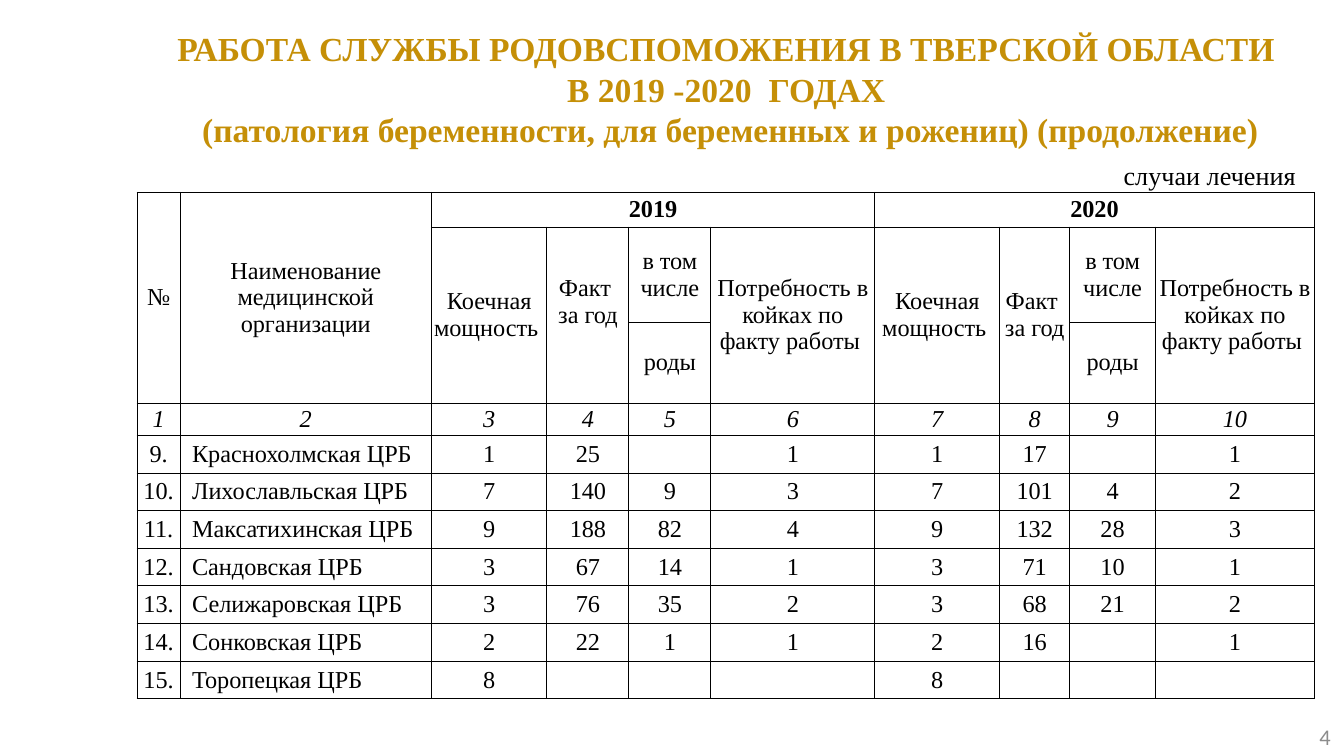
from lxml import etree
from pptx import Presentation
from pptx.dml.color import RGBColor
from pptx.enum.text import MSO_ANCHOR, MSO_AUTO_SIZE, PP_ALIGN
from pptx.oxml.ns import qn
from pptx.util import Inches, Pt

LEFT, CENTER, RIGHT = PP_ALIGN.LEFT, PP_ALIGN.CENTER, PP_ALIGN.RIGHT
TOP, MIDDLE = MSO_ANCHOR.TOP, MSO_ANCHOR.MIDDLE
NO_AUTOFIT = MSO_AUTO_SIZE.NONE
TITLE_ONLY = 5

SERIF = "Times New Roman"
GOLD, BLACK, WHITE, GRAY = "C58F07", "000000", "FFFFFF", "8C8C8C"
CELL_SIZE = 13

TITLE_LINES = [
    "РАБОТА СЛУЖБЫ РОДОВСПОМОЖЕНИЯ В ТВЕРСКОЙ ОБЛАСТИ ",
    "В 2019 -2020  ГОДАХ ",
    "(патология беременности, для беременных и рожениц) (продолжение)",
]

COLUMN_WIDTHS = [0.32, 1.87, 0.86, 0.61, 0.61, 1.22, 0.93, 0.52, 0.64, 1.18]
ROW_HEIGHTS = [0.26, 0.71, 0.6, 0.24] + [0.28] * 7
YEARS = ["2019", "2020"]
YEAR_COLUMNS = 4
NUMBER_ROW = 3

HOSPITALS = [
    ("9.", "Краснохолмская ЦРБ", "1", "25", "", "1", "1", "17", "", "1"),
    ("10.", "Лихославльская ЦРБ", "7", "140", "9", "3", "7", "101", "4", "2"),
    ("11.", "Максатихинская ЦРБ", "9", "188", "82", "4", "9", "132", "28", "3"),
    ("12.", "Сандовская ЦРБ", "3", "67", "14", "1", "3", "71", "10", "1"),
    ("13.", "Селижаровская ЦРБ", "3", "76", "35", "2", "3", "68", "21", "2"),
    ("14.", "Сонковская ЦРБ", "2", "22", "1", "1", "2", "16", "", "1"),
    ("15.", "Торопецкая ЦРБ", "8", "", "", "", "8", "", "", ""),
]


def color(hex_value):
    return RGBColor.from_string(hex_value)


def apply_format(target, values):
    for name, value in values.items():
        setattr(target, name, value)


def write_lines(text_frame, lines, align, size, hex_color, font_name=SERIF, **style):
    text_frame.text = "\n".join(lines)
    for paragraph in text_frame.paragraphs:
        paragraph.alignment = align
        for run in paragraph.runs:
            apply_format(run.font, {"name": font_name, "size": Pt(size), **style})
            run.font.color.rgb = color(hex_color)


def add_title(slide):
    title = slide.shapes.title
    apply_format(title, {"left": Inches(1.02), "top": Inches(0.16),
                         "width": Inches(8.83), "height": Inches(0.76)})
    apply_format(title.text_frame, {"word_wrap": True, "vertical_anchor": TOP,
                                    "auto_size": NO_AUTOFIT})
    write_lines(title.text_frame, TITLE_LINES, CENTER, 18, GOLD, bold=True)


def add_label(slide, box, text, size, hex_color, font_name, wrap, anchor):
    label = slide.shapes.add_textbox(*[Inches(value) for value in box])
    apply_format(label.text_frame, {"word_wrap": wrap, "vertical_anchor": anchor})
    write_lines(label.text_frame, [text], RIGHT, size, hex_color, font_name)


def set_borders(cell):
    properties = cell._tc.get_or_add_tcPr()
    for index, side in enumerate(("a:lnL", "a:lnR", "a:lnT", "a:lnB")):
        line = etree.Element(qn(side), w=str(Pt(0.5)))
        fill = etree.SubElement(line, qn("a:solidFill"))
        etree.SubElement(fill, qn("a:srgbClr"), val=BLACK)
        properties.insert(index, line)


def prepare_cell(cell):
    apply_format(cell, {"margin_left": 0, "margin_right": 0, "margin_top": 0,
                        "margin_bottom": 0, "vertical_anchor": MIDDLE})
    cell.fill.solid()
    cell.fill.fore_color.rgb = color(WHITE)
    set_borders(cell)
    # Keeps empty cells from stretching their row
    end_properties = cell.text_frame.paragraphs[0]._p.get_or_add_endParaRPr()
    end_properties.set("sz", str(CELL_SIZE * 100))


def fill_cell(cell, text, align=CENTER, **style):
    if text:
        write_lines(cell.text_frame, [text], align, CELL_SIZE, BLACK, **style)


def fill_header(table, row, column, text, rows=1, columns=1, **style):
    cell = table.cell(row, column)
    if rows > 1 or columns > 1:
        cell.merge(table.cell(row + rows - 1, column + columns - 1))
    fill_cell(cell, text, **style)


def fill_headers(table):
    fill_header(table, 0, 0, "№", rows=3)
    fill_header(table, 0, 1, "Наименование медицинской организации", rows=3)
    for index, year in enumerate(YEARS):
        first = 2 + index * YEAR_COLUMNS
        fill_header(table, 0, first, year, columns=YEAR_COLUMNS, bold=True)
        fill_header(table, 1, first, "Коечная мощность ", rows=2)
        fill_header(table, 1, first + 1, "Факт \vза год", rows=2)
        fill_header(table, 1, first + 2, "в том числе")
        fill_header(table, 2, first + 2, "роды")
        fill_header(table, 1, first + 3, "Потребность в койках по факту работы ", rows=2)
    # The 2019 count sits half a line higher
    table.cell(1, 3).margin_bottom = Inches(0.2)


def add_hospital_table(slide):
    frame = slide.shapes.add_table(
        len(ROW_HEIGHTS), len(COLUMN_WIDTHS), Inches(1.02), Inches(1.43),
        Inches(sum(COLUMN_WIDTHS)), Inches(sum(ROW_HEIGHTS)))
    table = frame.table
    apply_format(table, {"first_row": False, "horz_banding": False})
    for column, width in zip(table.columns, COLUMN_WIDTHS):
        column.width = Inches(width)
    for row, height in zip(table.rows, ROW_HEIGHTS):
        row.height = Inches(height)
    for cell in table.iter_cells():
        prepare_cell(cell)

    fill_headers(table)
    for column in range(len(COLUMN_WIDTHS)):
        fill_cell(table.cell(NUMBER_ROW, column), str(column + 1), italic=True)
    for row, hospital in enumerate(HOSPITALS, NUMBER_ROW + 1):
        for column, text in enumerate(hospital):
            fill_cell(table.cell(row, column), text, LEFT if column == 1 else CENTER)
        table.cell(row, 1).margin_left = Inches(0.09)


def main():
    presentation = Presentation()
    # Widescreen, 16 to 9
    width = Inches(10)
    apply_format(presentation, {"slide_width": width, "slide_height": width * 9 // 16})
    slide = presentation.slides.add_slide(presentation.slide_layouts[TITLE_ONLY])

    add_title(slide)
    add_hospital_table(slide)
    # Unit of measure and page number
    add_label(slide, (8.25, 1.14, 1.49, 0.34), "случаи лечения", 14, BLACK, SERIF, False, TOP)
    add_label(slide, (7.32, 5.33, 2.68, 0.3), "4", 12, GRAY, "Calibri", True, MIDDLE)

    presentation.save("out.pptx")


if __name__ == "__main__":
    main()
